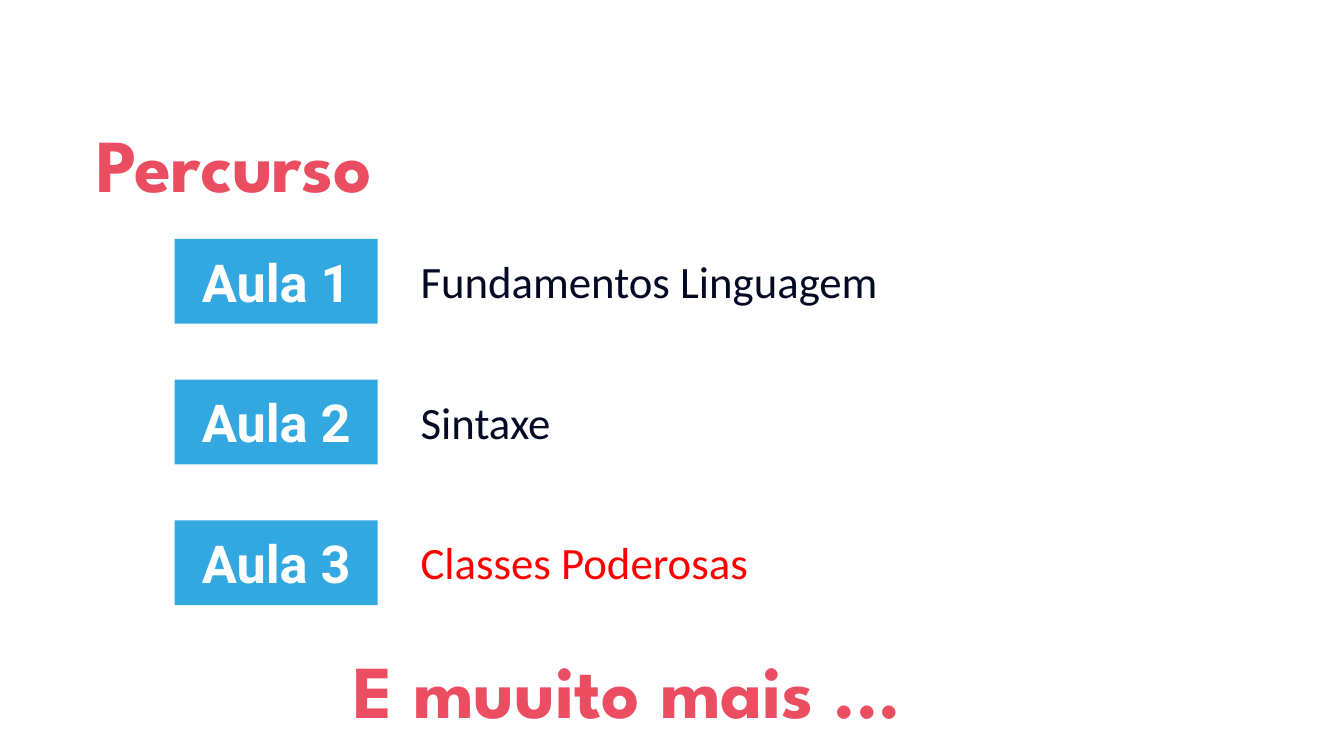
import pptx
import pptx.dml.color
import pptx.enum.shapes
import pptx.enum.text
import pptx.util

Pt = pptx.util.Pt
RGBColor = pptx.dml.color.RGBColor
Align = pptx.enum.text.PP_ALIGN
Anchor = pptx.enum.text.MSO_ANCHOR

CORAL = RGBColor(0xEA, 0x4E, 0x60)
BLUE = RGBColor(0x33, 0xA8, 0xE0)
NAVY = RGBColor(0x04, 0x0A, 0x24)
RED = RGBColor(0xFF, 0x00, 0x00)
WHITE = RGBColor(0xFF, 0xFF, 0xFF)

LESSONS = [
    ("Aula 1", "Fundamentos Linguagem", NAVY),
    ("Aula 2", "Sintaxe", NAVY),
    ("Aula 3", "Classes Poderosas", RED),
]
FIRST_ROW = 128
ROW_PITCH = 75.4


class CoursePage:
    """Holds the page and draws its headings, lesson tags and topics."""

    def __init__(self, page):
        self.page = page

    def set_text(self, box, text, font, size, color, bold, align, anchor, margin):
        frame = box.text_frame
        frame.word_wrap = True
        frame.vertical_anchor = anchor
        frame.margin_left = frame.margin_right = Pt(7.2)
        frame.margin_top = frame.margin_bottom = Pt(margin)
        frame.text = text
        para = frame.paragraphs[0]
        para.alignment = align
        span = para.runs[0].font
        span.name, span.size, span.bold = font, Pt(size), bold
        span.color.rgb = color
        return para

    def indent(self, para, left, first):
        properties = para._p.get_or_add_pPr()
        properties.set("marL", str(Pt(left)))
        properties.set("indent", str(Pt(first)))

    def heading(self, text, left, top, width, height, align, anchor, margin):
        box = self.page.shapes.add_textbox(Pt(left), Pt(top), Pt(width), Pt(height))
        para = self.set_text(box, text, "League Spartan", 40, CORAL, True, align, anchor, margin)
        para.line_spacing = 1.15

    def tag(self, text, top):
        box = self.page.shapes.add_shape(
            pptx.enum.shapes.MSO_SHAPE.RECTANGLE, Pt(93.6), Pt(top), Pt(108.7), Pt(45.4))
        box.shadow.inherit = False
        box.fill.solid()
        box.fill.fore_color.rgb = BLUE
        box.line.fill.background()
        para = self.set_text(box, text, "Roboto", 28, WHITE, True, Align.CENTER, Anchor.MIDDLE, 7.2)
        para.level = 1
        self.indent(para, 0, 0)

    def topic(self, text, top, color):
        box = self.page.shapes.add_textbox(Pt(218.2), Pt(top), Pt(433.4), Pt(36))
        para = self.set_text(box, text, "Calibri", 24, color, False, Align.LEFT, Anchor.TOP, 3.6)
        self.indent(para, 36, -36)


def main():
    deck = pptx.Presentation()
    deck.slide_width, deck.slide_height = Pt(720), Pt(405)
    course = CoursePage(deck.slides.add_slide(deck.slide_layouts[6]))
    course.heading("Percurso", 44.6, 50.4, 583.2, 66.2, Align.LEFT, Anchor.MIDDLE, 7.2)
    for row, (lesson, topic, color) in enumerate(LESSONS):
        top = FIRST_ROW + row * ROW_PITCH
        course.tag(lesson, top)
        course.topic(topic, top + 4.3, color)
    course.heading("E muuito mais ...", 92.2, 334.1, 488.2, 57.6, Align.CENTER, Anchor.TOP, 3.6)
    deck.save("out.pptx")


if __name__ == "__main__":
    main()
